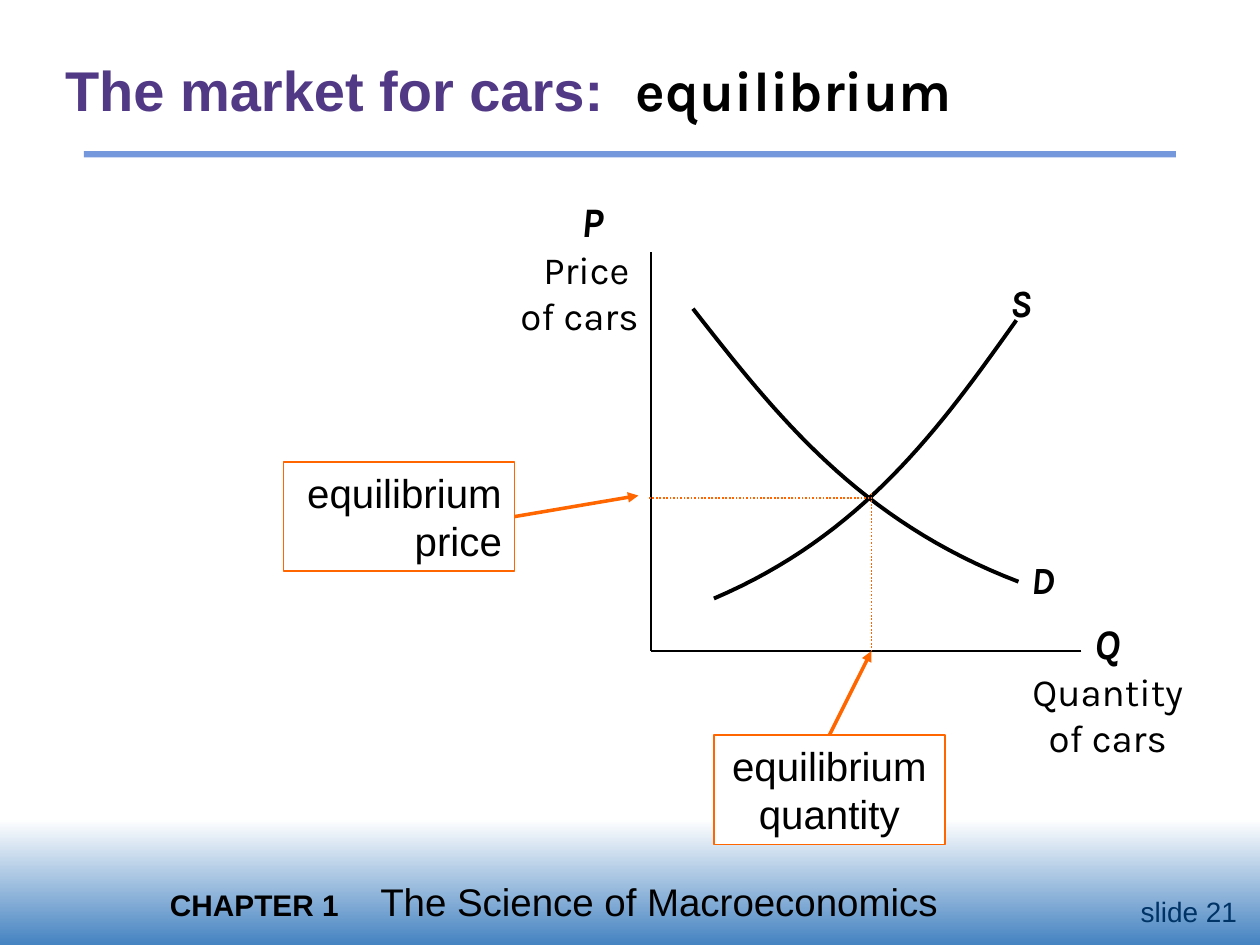
from dataclasses import dataclass

from lxml import etree
from pptx import Presentation
from pptx import util as u
from pptx.dml import color as dml
from pptx.enum import dml as lines, shapes, text
from pptx.oxml import ns

COLUMN = ROW = u.Inches(10) // 120
BLACK, WHITE, ORANGE = "000000", "FFFFFF", "FF6600"
LEFT, CENTER, RIGHT = text.PP_ALIGN.LEFT, text.PP_ALIGN.CENTER, text.PP_ALIGN.RIGHT
SYMBOL = {"name": "Karla", "size": u.Pt(22), "bold": True, "italic": True}
LARGE_SYMBOL = {**SYMBOL, "size": u.Pt(24)}
AXIS_LABEL = {"name": "Karla", "size": u.Pt(22), "bold": False, "italic": False}
CALLOUT = {"name": "Arial", "size": u.Pt(23)}


@dataclass
class Box:
    left: float
    top: float
    width: float
    height: float

    def inside(self, left, top, width, height):
        return Box(self.left + left, self.top + top, width, height)

    def point(self, column, row):
        return int((self.left + column) * COLUMN), int((self.top + row) * ROW)

    def frame(self):
        return *self.point(0, 0), int(self.width * COLUMN), int(self.height * ROW)


def rgb(value):
    return dml.RGBColor.from_string(value)


def apply(target, values):
    for name, value in values.items():
        setattr(target, name, value)


def set_line(shape, color, width, dash=None):
    shape.line.color.rgb = rgb(color)
    apply(shape.line, {"width": u.Pt(width), "dash_style": dash})


def add_run(paragraph, words, font, color=BLACK):
    run = paragraph.add_run()
    run.text = words
    apply(run.font, font)
    run.font.color.rgb = rgb(color)


def add_tab(paragraph, inches):
    properties = paragraph._p.get_or_add_pPr()
    tabs = etree.SubElement(properties, ns.qn("a:tabLst"))
    etree.SubElement(tabs, ns.qn("a:tab"), pos=str(u.Inches(inches)), algn="l")


def first_paragraph(shape, alignment, anchor=text.MSO_ANCHOR.TOP):
    apply(shape.text_frame, {"word_wrap": True, "vertical_anchor": anchor,
                             "auto_size": text.MSO_AUTO_SIZE.NONE})
    paragraph = shape.text_frame.paragraphs[0]
    paragraph.alignment = alignment
    return paragraph


def add_label(slide, box, runs, alignment=LEFT, color=BLACK):
    shape = slide.shapes.add_textbox(*box.frame())
    paragraph = first_paragraph(shape, alignment)
    for words, font in runs:
        add_run(paragraph, words, font, color)
    return shape


def add_rectangle(slide, box):
    shape = slide.shapes.add_shape(shapes.MSO_SHAPE.RECTANGLE, *box.frame())
    shape.shadow.inherit = False
    return shape


def add_line(slide, box, start, end, color, width, dash=None, arrow=False):
    connector = slide.shapes.add_connector(
        shapes.MSO_CONNECTOR.STRAIGHT, *box.point(*start), *box.point(*end))
    set_line(connector, color, width, dash)
    if arrow:
        etree.SubElement(connector.line._get_or_add_ln(), ns.qn("a:tailEnd"), type="triangle")
    etree.SubElement(connector._element.spPr, ns.qn("a:effectLst"))
    return connector


def add_curve(slide, box, controls, steps=32):
    points = []
    for step in range(steps + 1):
        t = step / steps
        weights = (1 - t) ** 3, 3 * t * (1 - t) ** 2, 3 * t * t * (1 - t), t ** 3
        points.append(box.point(*(sum(weight * value for weight, value in zip(weights, axis))
                                  for axis in zip(*controls))))
    builder = slide.shapes.build_freeform(*points[0])
    builder.add_line_segments(points[1:], close=False)
    curve = builder.convert_to_shape()
    curve.shadow.inherit = False
    curve.fill.background()
    set_line(curve, BLACK, 2.25)


def add_callout(slide, box, words, alignment, site, graph, start, target):
    shape = add_rectangle(slide, box)
    shape.fill.solid()
    shape.fill.fore_color.rgb = rgb(WHITE)
    set_line(shape, ORANGE, 0.75)
    add_run(first_paragraph(shape, alignment), words, CALLOUT)
    arrow = add_line(slide, graph, start, target, ORANGE, 2, arrow=True)
    arrow.begin_connect(shape, site)


def add_header(slide, box):
    title = slide.shapes.title
    apply(title, dict(zip(("left", "top", "width", "height"), box.frame())))
    paragraph = first_paragraph(title, LEFT, text.MSO_ANCHOR.MIDDLE)
    add_tab(paragraph, 4.53)
    font = {"name": "Arial", "size": u.Pt(32), "bold": True}
    add_run(paragraph, "The market for cars:\t", font, "523985")
    add_run(paragraph, "equilibrium", {**font, "name": "Karla"})
    rule = add_rectangle(slide, box.inside(3, 11.4, 104, 0.6))
    rule.fill.solid()
    rule.fill.fore_color.rgb = rgb("7598DD")
    rule.line.fill.background()


def add_footer(slide, box):
    band = add_rectangle(slide, box)
    band.fill.gradient()
    band.fill.gradient_angle = 270
    for stop, (position, color) in zip(band.fill.gradient_stops, ((0, WHITE), (1, "4583C1"))):
        stop.position = position
        stop.color.rgb = rgb(color)
    band.line.fill.background()
    arial = {"name": "Arial"}
    chapter = add_label(slide, box.inside(15, 5, 90, 5.6), [
        ("CHAPTER 1", {**arial, "size": u.Pt(17), "bold": True}),
        ("\tThe Science of Macroeconomics", {**arial, "size": u.Pt(22)})])
    add_tab(chapter.text_frame.paragraphs[0], 1.67)
    add_label(slide, box.inside(107, 6.6, 12, 4.4),
              [("slide 21", {**arial, "size": u.Pt(16)})], RIGHT, "003366")


def add_market(slide, box):
    for end in ((35, 6), (76, 44)):
        add_line(slide, box, end, (35, 44), BLACK, 0.75)
    add_label(slide, box.inside(70, 40.2, 17, 14.9),
              [("Q", LARGE_SYMBOL), (" Quantity of cars", AXIS_LABEL)], CENTER)
    price = add_label(slide, box.inside(20, 0, 15, 14.9), [("P", LARGE_SYMBOL)])
    price.text_frame.paragraphs[0]._p.get_or_add_pPr().set("marL", str(u.Inches(0.6)))
    paragraph = price.text_frame.add_paragraph()
    paragraph.alignment = RIGHT
    add_run(paragraph, "Price ", AXIS_LABEL)
    paragraph.add_line_break()
    add_run(paragraph, "of cars", AXIS_LABEL)

    curves = (("S", (68, 8), ((69.8, 12.5), (62.5, 22.8), (55.1, 33), (41, 39))),
              ("D", (70, 34.4), ((39, 11.4), (46.9, 21.5), (54.8, 31.6), (70, 37.4))))
    for name, corner, controls in curves:
        add_curve(slide, box, controls)
        add_label(slide, box.inside(*corner, 6, 5.6), [(name, SYMBOL)])

    for start, end in (((55.8, 29.4), (34.8, 29.4)), ((56, 29), (56, 44))):
        add_line(slide, box, start, end, ORANGE, 1, lines.MSO_LINE.ROUND_DOT)
    add_callout(slide, box.inside(0, 26, 22, 10.4), "equilibrium price", RIGHT, 3,
                box, (22, 31.2), (33.8, 29.2))
    add_callout(slide, box.inside(41, 52, 22, 10.4), "equilibrium quantity", CENTER, 0,
                box, (52, 52), (56, 44))


def main():
    presentation = Presentation()
    apply(presentation, {"slide_width": u.Inches(10), "slide_height": u.Inches(7.5)})
    slide = presentation.slides.add_slide(presentation.slide_layouts[5])
    add_footer(slide, Box(0, 78, 120, 12))
    add_header(slide, Box(5, 3, 110, 11))
    add_market(slide, Box(27, 18, 87, 62.4))
    presentation.save("out.pptx")


if __name__ == "__main__":
    main()
